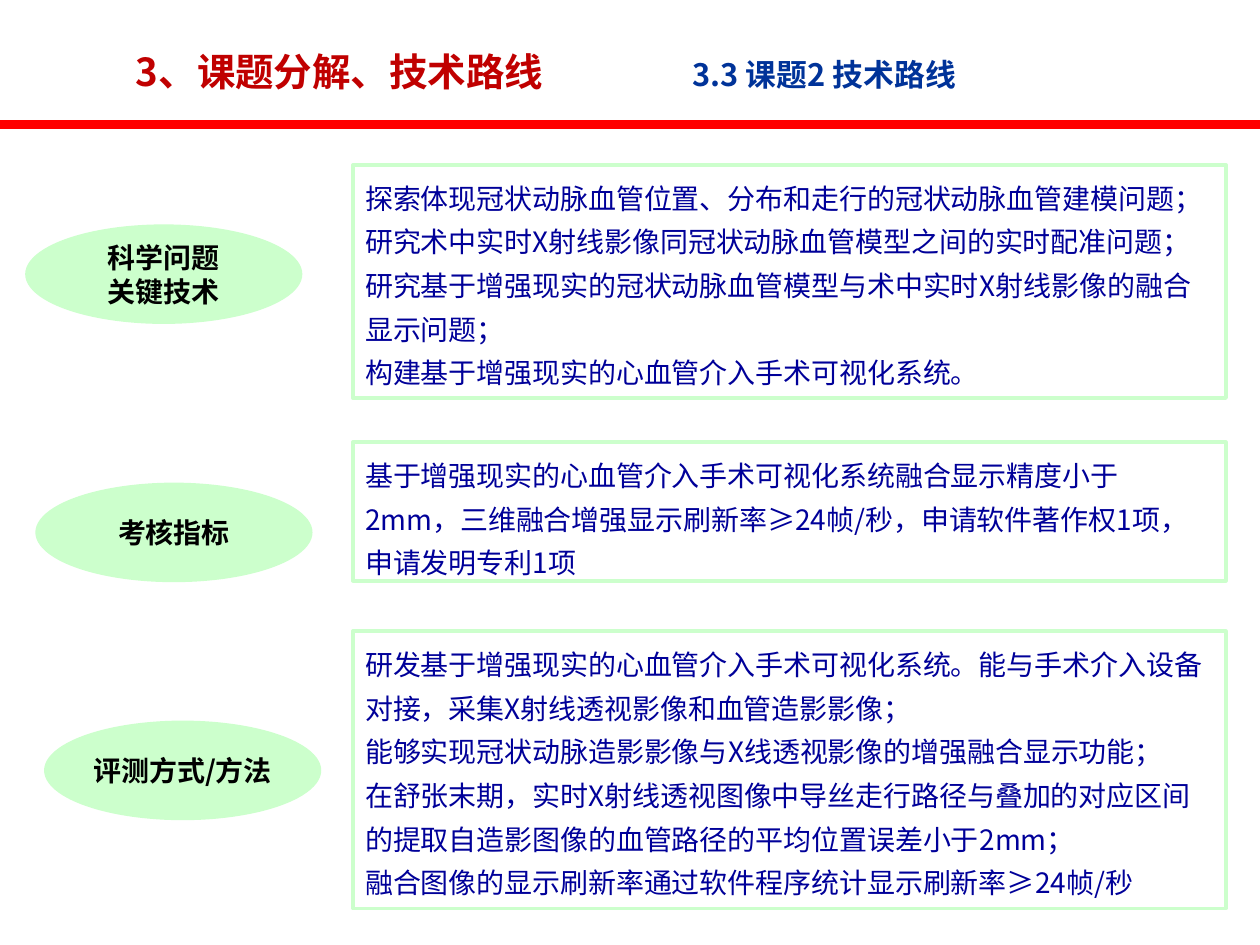
import pptx
import pptx.util
import pptx.dml.color
import pptx.enum.shapes
import pptx.enum.text
import pptx.oxml
import pptx.oxml.ns

Pt = pptx.util.Pt
SHAPE = pptx.enum.shapes.MSO_SHAPE
ANCHOR = pptx.enum.text.MSO_ANCHOR
FIT = pptx.enum.text.MSO_AUTO_SIZE
ALIGN = pptx.enum.text.PP_ALIGN

COLOURS = {"rule": "FF0000", "title": "C00000", "subtitle": "003399",
           "body": "000099", "label": "000000", "mint": "CCFFCC", "paper": "FFFFFF"}
FONT = "Noto Sans CJK SC"
SPANS = {
    "title": {"size": Pt(22), "bold": True},
    "subtitle": {"size": Pt(17.6), "bold": True},
    "label": {"size": Pt(16), "bold": True},
    "body": {"size": Pt(16), "bold": False},
}
LABEL_FRAME = {"word_wrap": True, "vertical_anchor": ANCHOR.MIDDLE, "margin_left": 0,
               "margin_right": 0, "margin_top": 0, "margin_bottom": 0}
BODY_FRAME = {"word_wrap": True, "vertical_anchor": ANCHOR.TOP,
              "auto_size": FIT.SHAPE_TO_FIT_TEXT}
TITLE_FRAME = {"word_wrap": True, "vertical_anchor": ANCHOR.MIDDLE}
LABEL_PARA = {"alignment": ALIGN.CENTER}
BODY_PARA = {"alignment": ALIGN.LEFT, "line_spacing": 1.3}

PANEL_LEFT, PANEL_WIDTH = 201.6, 499
LABEL_WIDTH, LABEL_HEIGHT = 158.4, 56.9
SECTIONS = [
    {"top": 94.3, "height": 133.2, "label_at": (14.4, 33.9),
     "label": ["科学问题", "关键技术"],
     "body": ["探索体现冠状动脉血管位置、分布和走行的冠状动脉血管建模问题；",
              "研究术中实时X射线影像同冠状动脉血管模型之间的实时配准问题；",
              "研究基于增强现实的冠状动脉血管模型与术中实时X射线影像的融合显示问题；",
              "构建基于增强现实的心血管介入手术可视化系统。"]},
    {"top": 252.7, "height": 79.2, "label_at": (20.2, 23.1),
     "label": ["考核指标"],
     "body": ["基于增强现实的心血管介入手术可视化系统融合显示精度小于2mm，"
              "三维融合增强显示刷新率≥24帧/秒，申请软件著作权1项，申请发明专利1项"]},
    {"top": 360.7, "height": 158.4, "label_at": (25.2, 51.1),
     "label": ["评测方式/方法"],
     "body": ["研发基于增强现实的心血管介入手术可视化系统。"
              "能与手术介入设备对接，采集X射线透视影像和血管造影影像；",
              "能够实现冠状动脉造影影像与X线透视影像的增强融合显示功能；",
              "在舒张末期，实时X射线透视图像中导丝走行路径与叠加的对应区间"
              "的提取自造影图像的血管路径的平均位置误差小于2mm；",
              "融合图像的显示刷新率通过软件程序统计显示刷新率≥24帧/秒"]},
]


def apply(target, values):
    for name, value in values.items():
        setattr(target, name, value)


def colour(name):
    return pptx.dml.color.RGBColor.from_string(COLOURS[name])


def add_span(para, text, style):
    span = para.add_run()
    span.text = text
    apply(span.font, {"name": FONT, **SPANS[style]})
    span.font.color.rgb = colour(style)
    east_asian = pptx.oxml.parse_xml(
        f'<a:ea {pptx.oxml.ns.nsdecls("a")} typeface="{FONT}"/>')
    span.font._element.find(pptx.oxml.ns.qn("a:latin")).addnext(east_asian)


def fill_text(frame, lines, style, frame_values, para_values):
    apply(frame, frame_values)
    for index, line in enumerate(lines):
        para = frame.add_paragraph() if index else frame.paragraphs[0]
        apply(para, para_values)
        add_span(para, line, style)


def add_box(page, kind, box, fill, line=None):
    shape = page.shapes.add_shape(kind, *map(Pt, box))
    shape.shadow.inherit = False
    shape.fill.solid()
    shape.fill.fore_color.rgb = colour(fill)
    if line:
        shape.line.color.rgb = colour(line)
        shape.line.width = Pt(2)
    else:
        shape.line.fill.background()
    return shape


def add_header(page, box):
    left, top, width, height = box
    rule = page.shapes.add_connector(
        pptx.enum.shapes.MSO_CONNECTOR.STRAIGHT,
        Pt(left), Pt(top + height), Pt(left + width), Pt(top + height))
    rule.line.color.rgb = colour("rule")
    rule.line.width = Pt(5)
    rule._element.spPr.append(pptx.oxml.parse_xml(
        f'<a:effectLst {pptx.oxml.ns.nsdecls("a")}/>'))
    heading = page.shapes.add_textbox(Pt(left + 70.6), Pt(top + 15.1), Pt(589.7), Pt(51.1))
    apply(heading.text_frame, TITLE_FRAME)
    para = heading.text_frame.paragraphs[0]
    para._p.get_or_add_pPr().append(pptx.oxml.parse_xml(
        f'<a:tabLst {pptx.oxml.ns.nsdecls("a")}>'
        f'<a:tab pos="{Pt(318)}" algn="l"/></a:tabLst>'))
    add_span(para, "3、课题分解、技术路线\t", "title")
    add_span(para, "3.3 课题2 技术路线", "subtitle")


def add_section(page, box, section):
    left, top, width, height = box
    panel = add_box(page, SHAPE.RECTANGLE,
                    (left + PANEL_LEFT, top, PANEL_WIDTH, height), "paper", "mint")
    fill_text(panel.text_frame, section["body"], "body", BODY_FRAME, BODY_PARA)
    offset_x, offset_y = section["label_at"]
    label = add_box(page, SHAPE.OVAL,
                    (left + offset_x, top + offset_y, LABEL_WIDTH, LABEL_HEIGHT), "mint")
    fill_text(label.text_frame, section["label"], "label", LABEL_FRAME, LABEL_PARA)


deck = pptx.Presentation()
apply(deck, {"slide_width": Pt(720), "slide_height": Pt(540)})
page = deck.slides.add_slide(deck.slide_layouts[6])
add_header(page, (0, 0, 720, 71.3))
for section in SECTIONS:
    add_section(page, (0, section["top"], 720, section["height"]), section)
deck.save("out.pptx")
